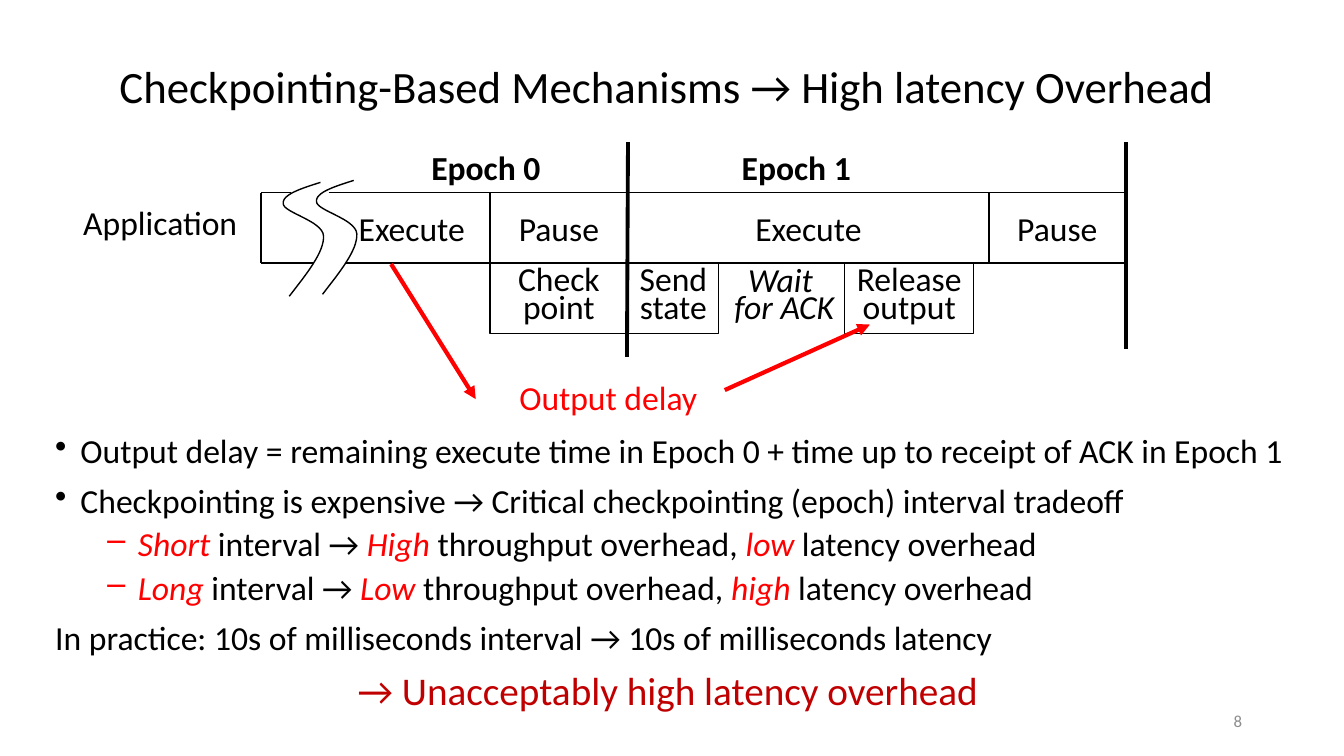
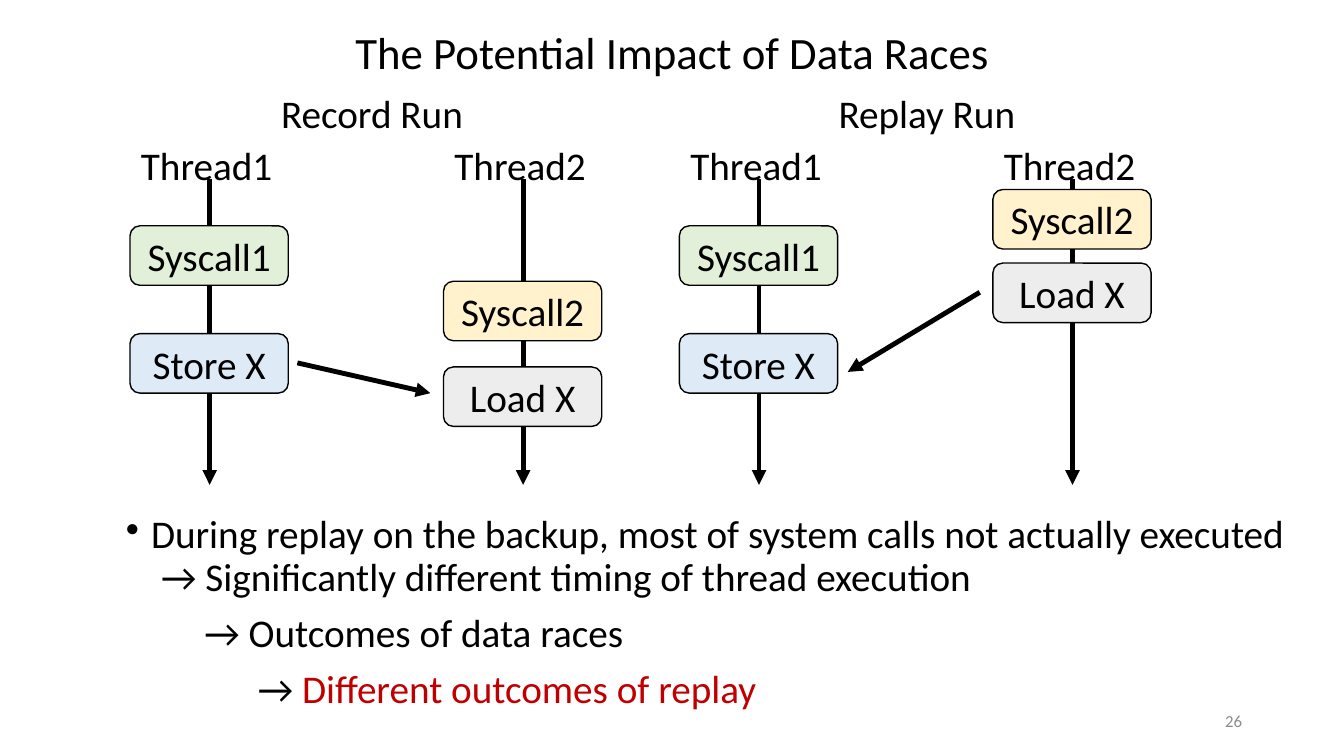
from dataclasses import dataclass

from lxml import etree
from pptx import Presentation
from pptx.dml.color import RGBColor
from pptx.enum.shapes import MSO_CONNECTOR, MSO_SHAPE
from pptx.enum.text import MSO_ANCHOR, PP_ALIGN
from pptx.oxml.ns import qn
from pptx.util import Inches, Pt

LEFT, CENTER, RIGHT = PP_ALIGN.LEFT, PP_ALIGN.CENTER, PP_ALIGN.RIGHT
TOP, MIDDLE = MSO_ANCHOR.TOP, MSO_ANCHOR.MIDDLE
RECT, ROUND = MSO_SHAPE.RECTANGLE, MSO_SHAPE.ROUNDED_RECTANGLE
STRAIGHT = MSO_CONNECTOR.STRAIGHT

FONT = "Calibri"
COLORS = {
    "text": "000000", "paper": "FFFFFF", "accent": "FF0000", "result": "C00000",
    "number": "8C8C8C", "green": "E2F0D9", "yellow": "FFF2CC",
    "blue": "DEEBF7", "gray": "EDEDED",
}
CELL = 0.1
COLS, ROWS = 133.33, 75


@dataclass
class Run:
    text: str
    color: str = "text"
    italic: bool = False
    bold: bool = False


@dataclass
class Para:
    runs: list
    align: int = LEFT
    spacing: object = 1.0
    before: float = 0
    left: float = 0
    hang: float = 0
    bullet: str = ""


def cells(*values):
    return [Inches(v * CELL) for v in values]


def rgb(name):
    return RGBColor.from_string(COLORS[name])


def fill_text(shape, paras, size, anchor=TOP):
    tf = shape.text_frame
    tf.word_wrap = True
    tf.vertical_anchor = anchor
    for i, para in enumerate(paras):
        p = tf.add_paragraph() if i else tf.paragraphs[0]
        p.alignment = para.align
        p.line_spacing = para.spacing
        p.space_before = Pt(para.before)
        if para.left:
            pPr = p._p.get_or_add_pPr()
            pPr.set("marL", str(Inches(para.left)))
            pPr.set("indent", str(-Inches(para.hang)))
            if para.bullet:
                etree.SubElement(pPr, qn("a:buChar")).set("char", para.bullet)
        for run in para.runs:
            for j, part in enumerate(run.text.split("\n")):
                if j:
                    p.add_line_break()
                r = p.add_run()
                r.text = part
                r.font.name = FONT
                r.font.size = Pt(size)
                r.font.bold = run.bold
                r.font.italic = run.italic
                r.font.color.rgb = rgb(run.color)


def text(s, box, paras, size, anchor=TOP):
    fill_text(s.shapes.add_textbox(*cells(*box)), paras, size, anchor)


def label(s, box, words, size=24, align=CENTER, spacing=1.0, **style):
    text(s, box, [Para([Run(words, **style)], align, spacing)], size)


def block(s, box, lines, size=24, kind=RECT, fill="paper", outline=True,
          spacing=1.0, italic=False):
    sp = s.shapes.add_shape(kind, *cells(*box))
    sp.shadow.inherit = False
    sp.fill.solid()
    sp.fill.fore_color.rgb = rgb(fill)
    if outline:
        sp.line.color.rgb = rgb("text")
        sp.line.width = Pt(1)
    else:
        sp.line.fill.background()
    paras = [Para([Run(t, italic=italic)], CENTER, spacing) for t in lines]
    fill_text(sp, paras, size, MIDDLE)


def line(s, start, end, width=1, color="text", arrow=False):
    c = s.shapes.add_connector(STRAIGHT, *cells(*start, *end))
    c.line.color.rgb = rgb(color)
    c.line.width = Pt(width)
    spPr = c._element.spPr
    if arrow:
        etree.SubElement(spPr.find(qn("a:ln")), qn("a:tailEnd")).set("type", "triangle")
    etree.SubElement(spPr, qn("a:effectLst"))


def bezier(points, steps=16):
    for i in range(1, steps + 1):
        t = i / steps
        weights = ((1 - t) ** 3, 3 * t * (1 - t) ** 2, 3 * t * t * (1 - t), t ** 3)
        yield tuple(sum(w * pt[k] for w, pt in zip(weights, points)) for k in (0, 1))


def break_mark(s, dx, dy):
    knots = [(31.8, 18.1), (29.9, 18.7), (28, 19.3), (28.1, 20.2), (28.1, 21.1),
             (32, 21.9), (32.1, 23.4), (32.2, 25), (30.4, 27.2), (28.7, 29.4)]
    knots = [(x + dx, y + dy) for x, y in knots]
    points = [pt for i in (0, 3, 6) for pt in bezier(knots[i:i + 4])]
    fb = s.shapes.build_freeform(*cells(*knots[0]))
    fb.add_line_segments([cells(*pt) for pt in points], close=False)
    sp = fb.convert_to_shape()
    sp.shadow.inherit = False
    sp.fill.background()
    sp.line.color.rgb = rgb("text")
    sp.line.width = Pt(1)


def new_slide(prs, title, title_height, number):
    s = prs.slides.add_slide(prs.slide_layouts[6])
    text(s, (9.2, 1.6, 115, title_height),
         [Para([Run(title)], CENTER, 0.9)], 32, MIDDLE)
    text(s, (94.2, 69.5, 30, 4),
         [Para([Run(str(number), "number")], RIGHT)], 12, MIDDLE)
    return s


def bullet(words):
    return Para([Run(words)], spacing=0.9, before=10, left=0.25, hang=0.25, bullet="•")


def tradeoff(interval, throughput, latency):
    runs = [Run(interval, "accent", True), Run(" interval → "),
            Run(throughput, "accent", True), Run(" throughput overhead, "),
            Run(latency, "accent", True), Run(" latency overhead")]
    return Para(runs, spacing=0.9, before=5, left=0.82, hang=0.32, bullet="‒")


def timeline(s):
    start, pause0, epoch1, pause1, end = 25.9, 48.6, 62.3, 98.1, 111.7
    top, height = 19.1, 7
    below = top + height
    tight = Pt(20)
    block(s, (71.4, below + 0.1, 12.8, height), ["Wait ", "for ACK"],
          outline=False, spacing=Pt(19), italic=True)
    for x, width, words in ((epoch1, 9, ["Send ", "state"]),
                            (83.8, 12.8, ["Release output"]),
                            (pause0, epoch1 - pause0, ["Check\npoint"])):
        block(s, (x, below, width, height), words, spacing=tight)
    for x, stop, words in ((epoch1, pause1, "Execute"), (pause0, epoch1, "Pause"),
                           (pause1, end, "Pause")):
        block(s, (x, top, stop - x, height), [words])
    label(s, (5.6, 20.8, 20.6, 4), "Application", spacing=tight)
    label(s, (39.8, 14.1, 16.8, 5), "Epoch 0", bold=True)
    label(s, (69.6, 14.1, 18.8, 5), "Epoch 1", bold=True)
    for dx, dy in ((0, 0), (3.3, -0.2)):
        break_mark(s, dx, dy)
    line(s, (start, top), (start, below))
    for y, left_stop, right_start in ((top, 28.9, 32.6), (below, 31.2, 34.3)):
        line(s, (start, y), (left_stop, y))
        line(s, (right_start, y), (pause0, y))
    label(s, (34.6, 20.1, 14, 5), "Execute", align=LEFT)
    line(s, (epoch1, 14.1), (epoch1 - 0.1, 35.4), 2.75)
    line(s, (end, 14.1), (end, 34.6), 2.75)
    line(s, (38.8, 26.2), (47.2, 39.6), 3, "accent", arrow=True)
    line(s, (71.9, 38.7), (86.3, 32.2), 3, "accent", arrow=True)
    label(s, (41.5, 38.1, 37.7, 4), "Output delay", spacing=tight, color="accent")


def checkpointing_slide(prs):
    s = new_slide(prs, "Checkpointing-Based Mechanisms → High latency Overhead ", 14.5, 8)
    timeline(s)
    body = (4.5, 42.6, 126.4, 31.7)
    practice = Run("In practice: 10s of milliseconds interval → 10s of milliseconds latency")
    text(s, body, [
        bullet("Output delay = remaining execute time in Epoch 0 + "
               "time up to receipt of ACK in Epoch 1"),
        bullet("Checkpointing is expensive → Critical checkpointing (epoch) interval tradeoff"),
        tradeoff("Short", "High", "low"),
        tradeoff("Long", "Low", "high"),
        Para([practice], spacing=0.9, before=10),
    ], 24)
    text(s, (4.5, 66.1, 126.4, 6),
         [Para([Run("→ Unacceptably high latency overhead", "result")],
               spacing=0.9, left=3)], 28)


def thread(s, x, name, steps):
    line(s, (x, 17.8), (x, 48.1), 3.5, arrow=True)
    label(s, (x - 7.8, 13.5, 16, 5.7), name, 28, LEFT)
    for words, y, fill in steps:
        block(s, (x - 7.9, y, 15.7, 5.9), [words], 28, ROUND, fill)


def run_panel(s, name, name_x, x, syscall2_y, load_y, arrow):
    label(s, (name_x, 8.4, 21.2, 5.7), name, 28, LEFT)
    thread(s, x, "Thread1", [("Syscall1", 22.4, "green"), ("Store X", 33.1, "blue")])
    thread(s, x + 31.1, "Thread2",
           [("Syscall2", syscall2_y, "yellow"), ("Load X", load_y, "gray")])
    line(s, *arrow, 3.5, arrow=True)


def data_races_slide(prs):
    s = new_slide(prs, "The Potential Impact of Data Races", 7.7, 26)
    run_panel(s, "Record Run", 26.9, 20.8, 27.9, 36.4, ((29.5, 36), (42.7, 39)))
    run_panel(s, "Replay Run", 82.2, 75.3, 18.8, 26.1, ((97.2, 29), (84.1, 36.9)))
    text(s, (11.5, 50.6, 118.7, 21.3), [
        bullet("During replay on the backup, most of system calls not actually executed"),
        Para([Run("→ Significantly different timing of thread execution")],
             spacing=0.9, left=0.35),
        Para([Run("→ Outcomes of data races")], spacing=0.9, before=10, left=0.78),
        Para([Run("→ "), Run("Different outcomes of replay", "result")],
             spacing=0.9, before=10, left=1.31),
    ], 28)


def main():
    prs = Presentation()
    prs.slide_width, prs.slide_height = cells(COLS, ROWS)
    checkpointing_slide(prs)
    data_races_slide(prs)
    prs.save("out.pptx")


if __name__ == "__main__":
    main()
